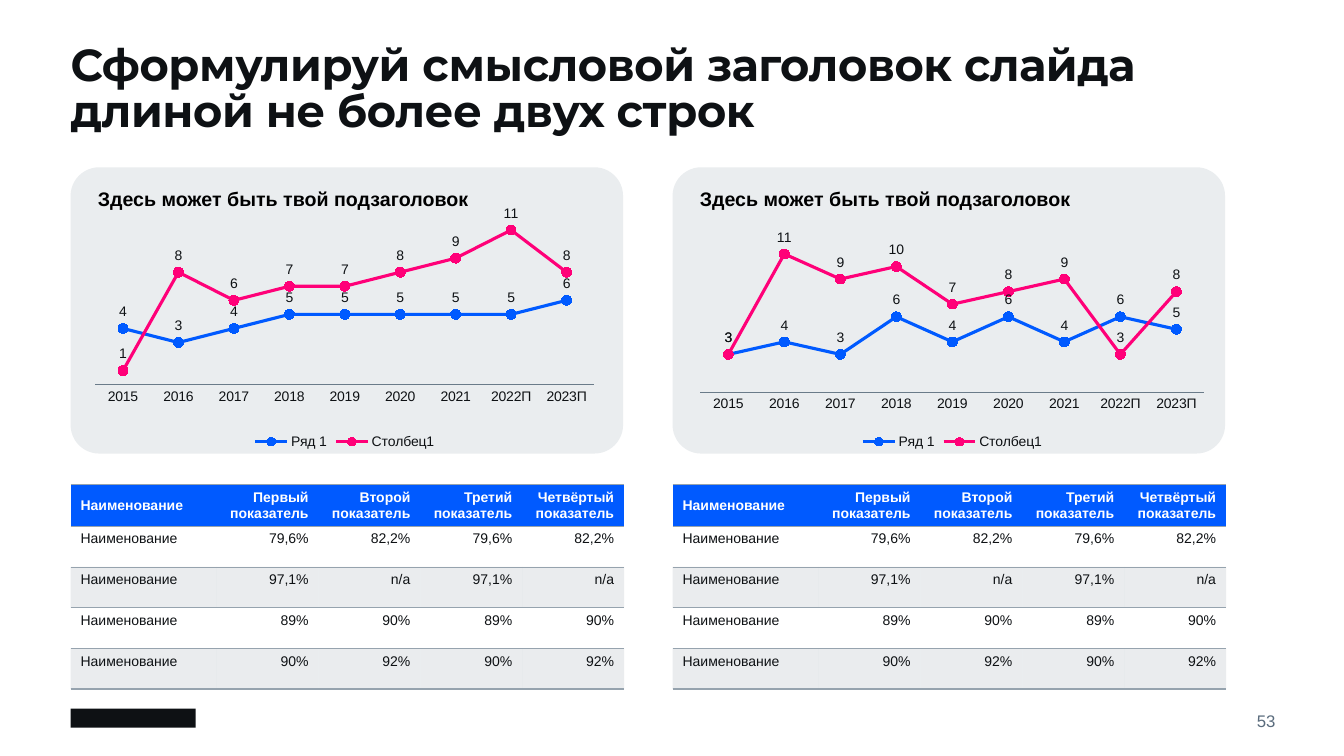
from lxml.etree import SubElement as Sub
from pptx import Presentation
from pptx.chart.data import CategoryChartData as Data
from pptx.dml.color import RGBColor
from pptx.enum.chart import XL_CHART_TYPE as Kind, XL_LABEL_POSITION as Spot
from pptx.enum.chart import XL_LEGEND_POSITION as Side, XL_MARKER_STYLE as Mark
from pptx.enum.chart import XL_TICK_MARK as Tick
from pptx.enum.shapes import MSO_SHAPE as Form
from pptx.enum.text import MSO_ANCHOR as Anchor, MSO_AUTO_SIZE as Fit, PP_ALIGN as Align
from pptx.oxml import parse_xml as to_xml
from pptx.oxml.ns import nsdecls, qn
from pptx.util import Inches, Pt

INK = RGBColor(0x0E, 0x11, 0x14)
BLACK = RGBColor(0, 0, 0)
WHITE = RGBColor(0xFF, 0xFF, 0xFF)
BLUE = RGBColor(0x00, 0x5A, 0xFF)
PINK = RGBColor(0xFF, 0x00, 0x78)
PALE = RGBColor(0xEA, 0xED, 0xEF)
STEEL = RGBColor(0x96, 0xA3, 0xAE)
SLATE = RGBColor(0x6A, 0x7B, 0x89)
GREY = RGBColor(0x5A, 0x6C, 0x7D)

deck = Presentation()
deck.slide_width, deck.slide_height = Inches(13.33), Inches(7.5)
slide = deck.slides.add_slide(deck.slide_layouts[5])
shapes = slide.shapes


def place(left, top, width, height):
    wide, high = deck.slide_width / 100, deck.slide_height / 100
    return [int(n) for n in (left * wide, top * high, width * wide, height * high)]


def write(frame, text, align=Align.LEFT, **style):
    para = frame.paragraphs[0]
    para.alignment = align
    run = para.add_run()
    run.text = text
    look = {"name": "Arial", "size": Pt(10), "bold": False, **style}
    run.font.color.rgb = look.pop("color", INK)
    for key, value in look.items():
        setattr(run.font, key, value)
    return run


FLUSH = {"margin_left": 0, "margin_top": 0, "margin_right": 0, "margin_bottom": 0,
         "word_wrap": True, "auto_size": Fit.NONE}

LEFT, STEP, WIDE = 5.25, 44.79, 41.11
YEARS = [str(year) for year in range(2015, 2022)] + ["2022П", "2023П"]
HEAD = ["Наименование", "Первый показатель", "Второй показатель",
        "Третий показатель", "Четвёртый показатель"]
PAIRS = [("79,6%", "82,2%"), ("97,1%", "n/a"), ("89%", "90%"), ("90%", "92%")]
ROWS = [HEAD] + [["Наименование", *pair * 2] for pair in PAIRS]
PLOTS = [
    ((1.8, 27.2, 37.21, 32.8),
     [4, 3, 4, 5, 5, 5, 5, 5, 6], [1, 8, 6, 7, 7, 8, 9, 11, 8]),
    ((2.03, 30.4, 37.58, 29.6),
     [3, 4, 3, 6, 4, 6, 4, 6, 5], [3, 11, 9, 10, 7, 8, 9, 3, 8]),
]
AREA = {"x": 0, "y": 0.01, "w": 1, "h": 0.71}

title = shapes.title
title.left, title.top, title.width, title.height = place(LEFT, 6, 89.5, 10)
for key, value in {**FLUSH, "vertical_anchor": Anchor.TOP}.items():
    setattr(title.text_frame, key, value)
run = write(title.text_frame,
            "Сформулируй смысловой заголовок слайда длиной не более двух строк",
            name="Montserrat", size=Pt(32), bold=True)
run.font._element.set("spc", "-30")
title.text_frame.paragraphs[0].line_spacing = 0.85

for side, (spot, first, second) in enumerate(PLOTS):
    left = LEFT + side * STEP

    panel = shapes.add_shape(Form.ROUNDED_RECTANGLE, *place(left, 22.13, WIDE, 37.87))
    panel.adjustments[0] = 0.1
    panel.shadow.inherit = False
    panel.fill.solid()
    panel.fill.fore_color.rgb = PALE
    panel.line.fill.background()

    label = shapes.add_textbox(*place(left + 2.03, 24.67, 39.08, 3.2))
    for key, value in FLUSH.items():
        setattr(label.text_frame, key, value)
    write(label.text_frame, "Здесь может быть твой подзаголовок",
          size=Pt(14), bold=True, color=BLACK)

    data = Data(number_format="0")
    data.categories = YEARS
    data.add_series("Ряд 1", first)
    data.add_series("Столбец1", second)
    inset, *rest = spot
    chart = shapes.add_chart(Kind.LINE_MARKERS, *place(left + inset, *rest), data).chart
    chart.has_title = False
    chart.has_legend = True
    chart.legend.position = Side.BOTTOM
    chart.legend.include_in_layout = False

    years, scale = chart.category_axis, chart.value_axis
    years.major_tick_mark = years.minor_tick_mark = Tick.NONE
    years.format.line.color.rgb = SLATE
    years.format.line.width = Pt(0.75)
    for key, value in {"visible": False, "has_major_gridlines": False,
                       "minimum_scale": 0, "maximum_scale": 12.4}.items():
        setattr(scale, key, value)

    area = chart.element.find(".//" + qn("c:plotArea"))
    for old in area.findall(qn("c:layout")):
        area.remove(old)
    grid = to_xml(f'<c:layout {nsdecls("c")}><c:manualLayout/></c:layout>')
    area.insert(0, grid)
    parts = {"layoutTarget": "inner", "xMode": "edge", "yMode": "edge", **AREA}
    for key, value in parts.items():
        Sub(grid[0], qn("c:" + key)).set("val", str(value))

    fonts = [chart.font, chart.legend.font, years.tick_labels.font]
    for line, color in zip(chart.plots[0].series, (BLUE, PINK)):
        line.smooth = False
        line.format.line.color.rgb = color
        line.format.line.width = Pt(2.25)
        line.marker.style = Mark.CIRCLE
        line.marker.size = 7
        line.marker.format.fill.solid()
        line.marker.format.fill.fore_color.rgb = color
        line.marker.format.line.color.rgb = color
        tags = line.data_labels
        for key, value in {"show_value": True, "position": Spot.ABOVE,
                           "number_format": "0", "number_format_is_linked": False}.items():
            setattr(tags, key, value)
        fonts.append(tags.font)
    for font in fonts:
        font.name, font.size = "Arial", Pt(10)
        font.color.rgb = INK

    table = shapes.add_table(len(ROWS), len(HEAD), *place(left, 64.13, WIDE, 26.93)).table
    table.horz_banding = False
    table.columns[0].width = Inches(1.45)
    for col in range(1, len(HEAD)):
        table.columns[col].width = Inches(1.01)
    for row, words in enumerate(ROWS):
        top = row == 0
        for col, text in enumerate(words):
            cell = table.cell(row, col)
            cell.vertical_anchor = Anchor.MIDDLE if top else Anchor.TOP
            write(cell.text_frame, text, Align.RIGHT if col else Align.LEFT,
                  bold=top, color=WHITE if top else INK)
            props = cell._tc.get_or_add_tcPr()
            ends = {"lnL": 0, "lnR": 0, "lnT": 1 if top else 0.5,
                    "lnB": 1 if row == len(ROWS) - 1 else 0.5}
            for edge, width in ends.items():
                rule = Sub(props, qn("a:" + edge), w=str(Pt(width)))
                if width:
                    Sub(Sub(rule, qn("a:solidFill")), qn("a:srgbClr"), val=str(STEEL))
                else:
                    Sub(rule, qn("a:noFill"))
            if row % 2:
                cell.fill.background()
            else:
                cell.fill.solid()
                cell.fill.fore_color.rgb = BLUE if top else STEEL
                if not top:
                    tint = props.find(qn("a:solidFill"))[0]
                    Sub(tint, qn("a:alpha"), val="20000")

badge = shapes.add_shape(Form.RECTANGLE, *place(LEFT, 93.73, 9.3, 2.53))
badge.shadow.inherit = False
badge.fill.solid()
badge.fill.fore_color.rgb = INK
badge.line.fill.background()

page = shapes.add_textbox(*place(87.47, 93.73, 7.43, 3.2))
for key, value in {**FLUSH, "vertical_anchor": Anchor.MIDDLE}.items():
    setattr(page.text_frame, key, value)
write(page.text_frame, "53", Align.RIGHT, size=Pt(12), color=GREY)

deck.save("out.pptx")
